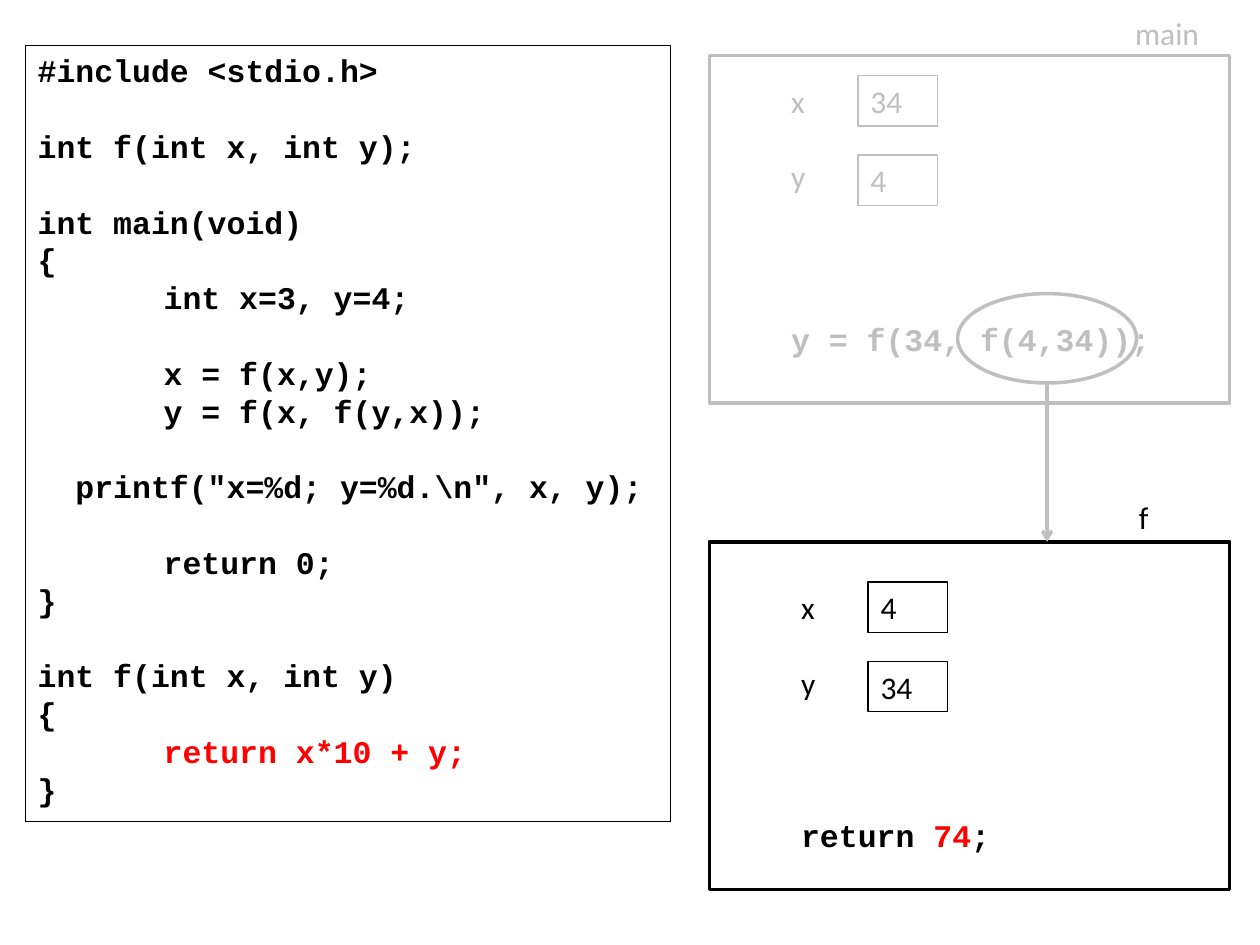
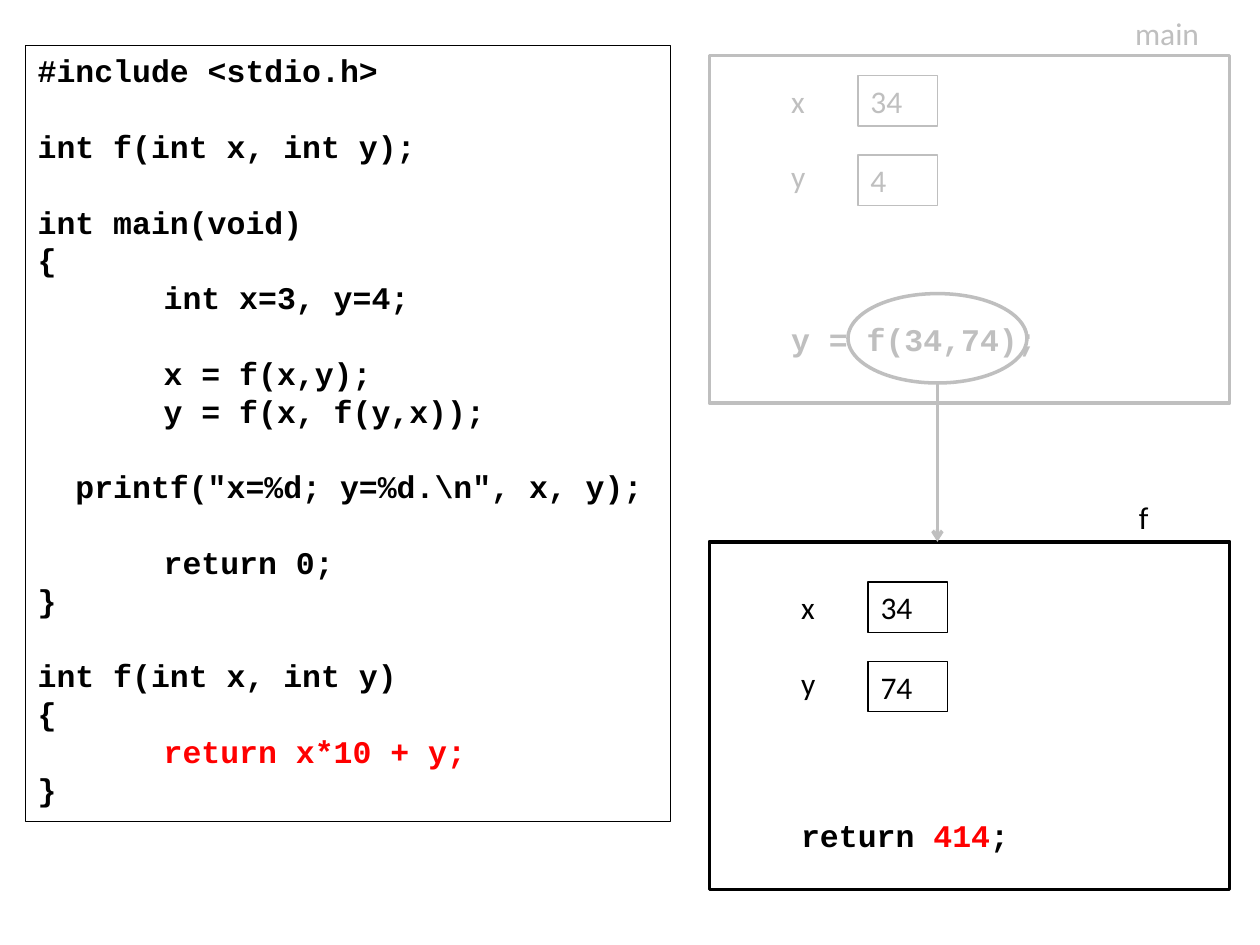
"""Two slides tracing nested function calls in a small C program."""
from dataclasses import dataclass

from lxml import etree
from pptx import Presentation
from pptx.dml.color import RGBColor
from pptx.enum.shapes import MSO_CONNECTOR, MSO_SHAPE
from pptx.enum.text import MSO_ANCHOR, PP_ALIGN
from pptx.oxml.ns import qn
from pptx.util import Inches, Pt

RECTANGLE, OVAL = MSO_SHAPE.RECTANGLE, MSO_SHAPE.OVAL
STRAIGHT = MSO_CONNECTOR.STRAIGHT
TOP, LEFT = MSO_ANCHOR.TOP, PP_ALIGN.LEFT

BLACK, GREY, RED, WHITE = "000000", "BFBFBF", "FF0000", "FFFFFF"
PROSE, CODE = "Calibri", "Courier New"
TEXT_SIZE = 18
LINE_PITCH = 21.6
THIN, THICK = 0.75, 2

FRAME_LEFT, FRAME_WIDTH, FRAME_HEIGHT = 5.63, 4.13, 2.76
MAIN_TOP, F_TOP = 0.44, 4.3
ROW_HEIGHT, VALUE_WIDTH, VALUE_STEP = 0.4, 0.63, 0.63
OVAL_TOP, OVAL_WIDTH, OVAL_HEIGHT = 2.33, 1.42, 0.71


@dataclass(frozen=True)
class Span:
    """A piece of text in one colour."""
    text: str
    color: str = BLACK


@dataclass(frozen=True)
class Line:
    """A paragraph with its indent in inches and the gap above in points."""
    spans: tuple[Span, ...]
    indent: float = 0
    gap: float = 0


@dataclass(frozen=True)
class Frame:
    """The memory of one running function."""
    name: str
    color: str
    top: float
    name_left: float
    name_top: float
    left: float
    values_top: float
    values: tuple[str, str]
    statement: tuple[Span, ...]
    statement_top: float
    statement_width: float


@dataclass(frozen=True)
class Step:
    """What changes from slide to slide."""
    call: str
    call_width: float
    oval_left: float
    arguments: tuple[str, str]
    result: str


STEPS = (
    Step("y = f(34, f(4,34));", 3.07, 7.6, ("4", "34"), "74"),
    Step("y = f(34,74);", 2.36, 6.73, ("34", "74"), "414"),
)


def code_line(text: str, indent: float = 0, gap: float = 0,
              color: str = BLACK) -> Line:
    """Make a one-colour line of the program."""
    return Line((Span(text, color),), indent, gap)


PROGRAM = (
    code_line("#include <stdio.h>"),
    code_line("int f(int x, int y);", gap=LINE_PITCH),
    code_line("int main(void)", gap=LINE_PITCH),
    code_line("{"),
    code_line("int x=3, y=4;", 1),
    code_line("x = f(x,y);", 1, LINE_PITCH),
    code_line("y = f(x, f(y,x));", 1),
    code_line("printf(″x=%d; y=%d.\\n″, x, y);", 0.3, LINE_PITCH),
    code_line("return 0;", 1, LINE_PITCH),
    code_line("}"),
    code_line("int f(int x, int y)", gap=LINE_PITCH),
    code_line("{"),
    code_line("return x*10 + y;", 1, color=RED),
    code_line("}"),
)


def rgb(color: str) -> RGBColor:
    """Turn a hex string into a colour."""
    return RGBColor.from_string(color)


def write(shape, lines: tuple[Line, ...], font: str = PROSE,
          pitch: float | None = None) -> None:
    """Fill a shape with top-left text; code is bold."""
    text_frame = shape.text_frame
    text_frame.word_wrap = True
    text_frame.vertical_anchor = TOP
    for index, line in enumerate(lines):
        para = text_frame.paragraphs[0] if index == 0 else text_frame.add_paragraph()
        para.alignment = LEFT
        para.space_before = Pt(line.gap)
        if pitch:
            para.line_spacing = Pt(pitch)
        if line.indent:
            properties = para._p.get_or_add_pPr()
            properties.set("marL", str(Inches(line.indent)))
            properties.set("indent", "0")
        for span in line.spans:
            run = para.add_run()
            run.text = span.text
            run.font.name = font
            run.font.size = Pt(TEXT_SIZE)
            run.font.bold = font == CODE
            run.font.color.rgb = rgb(span.color)


def add_text(page, left: float, top: float, width: float, height: float,
             lines: tuple[Line, ...], font: str = PROSE) -> None:
    """Add a plain text box."""
    box = page.shapes.add_textbox(Inches(left), Inches(top), Inches(width), Inches(height))
    write(box, lines, font)


def add_outline(shapes, preset, left: float, top: float, width: float,
                height: float, color: str, weight: float, fill: str | None = None):
    """Add an outlined preset shape, unfilled unless a fill is given."""
    shape = shapes.add_shape(preset, Inches(left), Inches(top),
                             Inches(width), Inches(height))
    shape.shadow.inherit = False
    if fill:
        shape.fill.solid()
        shape.fill.fore_color.rgb = rgb(fill)
    else:
        shape.fill.background()
    shape.line.color.rgb = rgb(color)
    shape.line.width = Pt(weight)
    return shape


def draw_program(page) -> None:
    """Draw the C program in its box."""
    box = add_outline(page.shapes, RECTANGLE, 0.2, 0.36, 5.12, 6.16, BLACK, THIN)
    write(box, PROGRAM, CODE, LINE_PITCH)


def draw_frame(page, frame: Frame) -> None:
    """Draw a function's frame, name, variables and statement."""
    add_outline(page.shapes, RECTANGLE, FRAME_LEFT, frame.top, FRAME_WIDTH,
                FRAME_HEIGHT, frame.color, THICK, WHITE)
    add_text(page, frame.name_left, frame.name_top, 0.79, ROW_HEIGHT,
             (Line((Span(frame.name, frame.color),)),))
    labels = (Line((Span("x", frame.color),)),
              Line((Span("y", frame.color),), gap=LINE_PITCH))
    add_text(page, frame.left, frame.values_top, 0.51, 1.01, labels)
    for row, value in enumerate(frame.values):
        cell = add_outline(page.shapes, RECTANGLE, frame.left + 0.63,
                           frame.values_top + row * VALUE_STEP,
                           VALUE_WIDTH, ROW_HEIGHT, frame.color, THIN)
        write(cell, (Line((Span(value, frame.color),)),))
    add_text(page, frame.left, frame.statement_top, frame.statement_width,
             ROW_HEIGHT, (Line(frame.statement),), CODE)


def draw_call(page, oval_left: float) -> None:
    """Ring the active call and point from it to the frame of f."""
    group = page.shapes.add_group_shape()
    add_outline(group.shapes, OVAL, oval_left, OVAL_TOP, OVAL_WIDTH,
                OVAL_HEIGHT, GREY, THICK)
    middle = Inches(oval_left + OVAL_WIDTH / 2)
    arrow = group.shapes.add_connector(STRAIGHT, middle, Inches(OVAL_TOP + OVAL_HEIGHT),
                                       middle, Inches(F_TOP))
    arrow.line.color.rgb = rgb(GREY)
    arrow.line.width = Pt(THICK)
    etree.SubElement(arrow.line._get_or_add_ln(), qn("a:tailEnd"), type="arrow")
    etree.SubElement(arrow._element.spPr, qn("a:effectLst"))


def draw_step(page, step: Step) -> None:
    """Draw one step of the trace."""
    draw_program(page)
    draw_frame(page, Frame("main", GREY, MAIN_TOP, 8.91, 0.06, 6.18, 0.6,
                           ("34", "4"), (Span(step.call, GREY),), 2.49,
                           step.call_width))
    result = (Span("return "), Span(step.result, RED), Span(";"))
    draw_frame(page, Frame("f", BLACK, F_TOP, 8.94, 3.9, 6.26, 4.62,
                           step.arguments, result, 6.43, 2.76))
    draw_call(page, step.oval_left)


def main() -> None:
    """Build and save the deck."""
    deck = Presentation()
    deck.slide_width, deck.slide_height = Inches(10), Inches(7.5)
    blank = deck.slide_layouts.get_by_name("Blank")
    for step in STEPS:
        draw_step(deck.slides.add_slide(blank), step)
    deck.save("out.pptx")


main()
